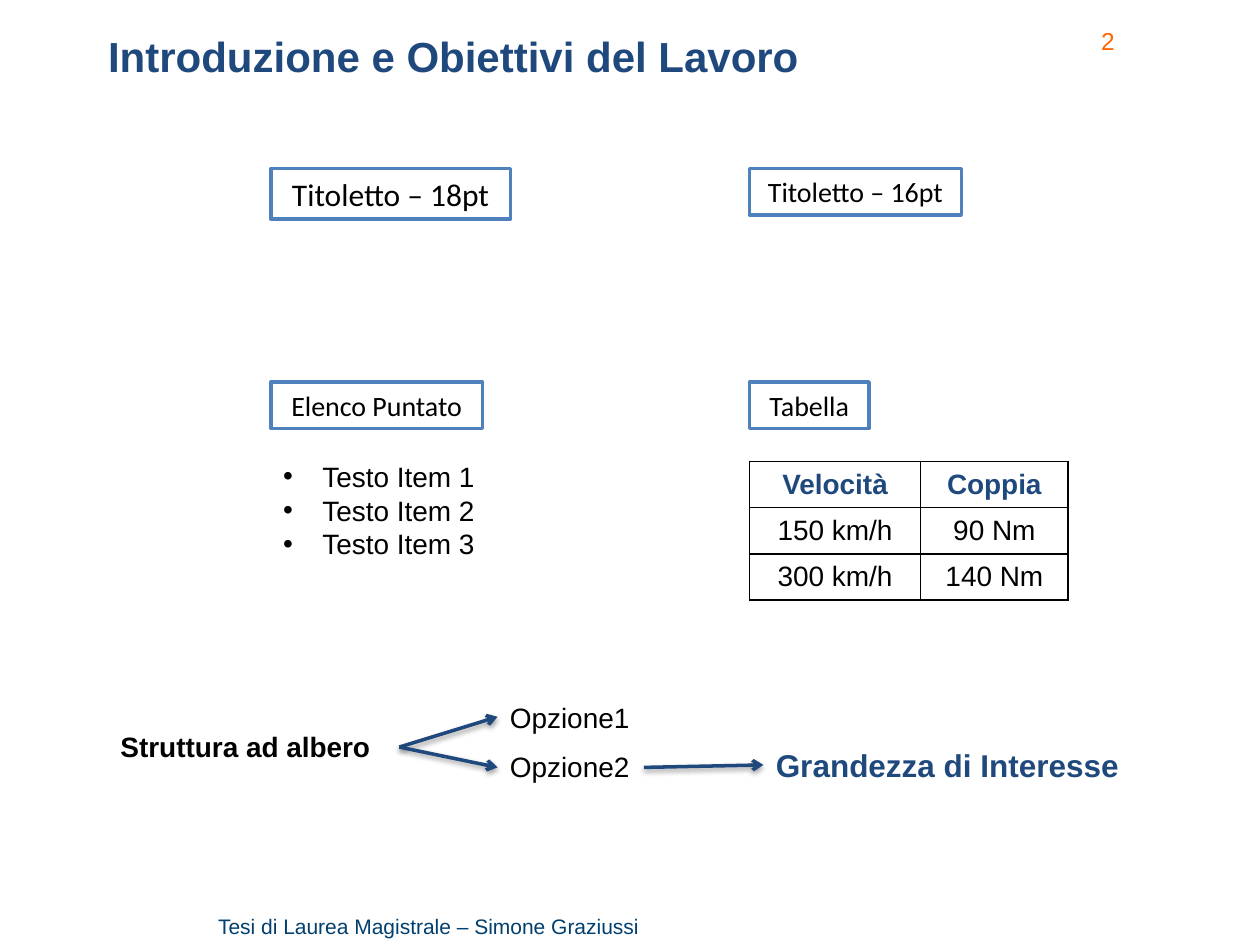
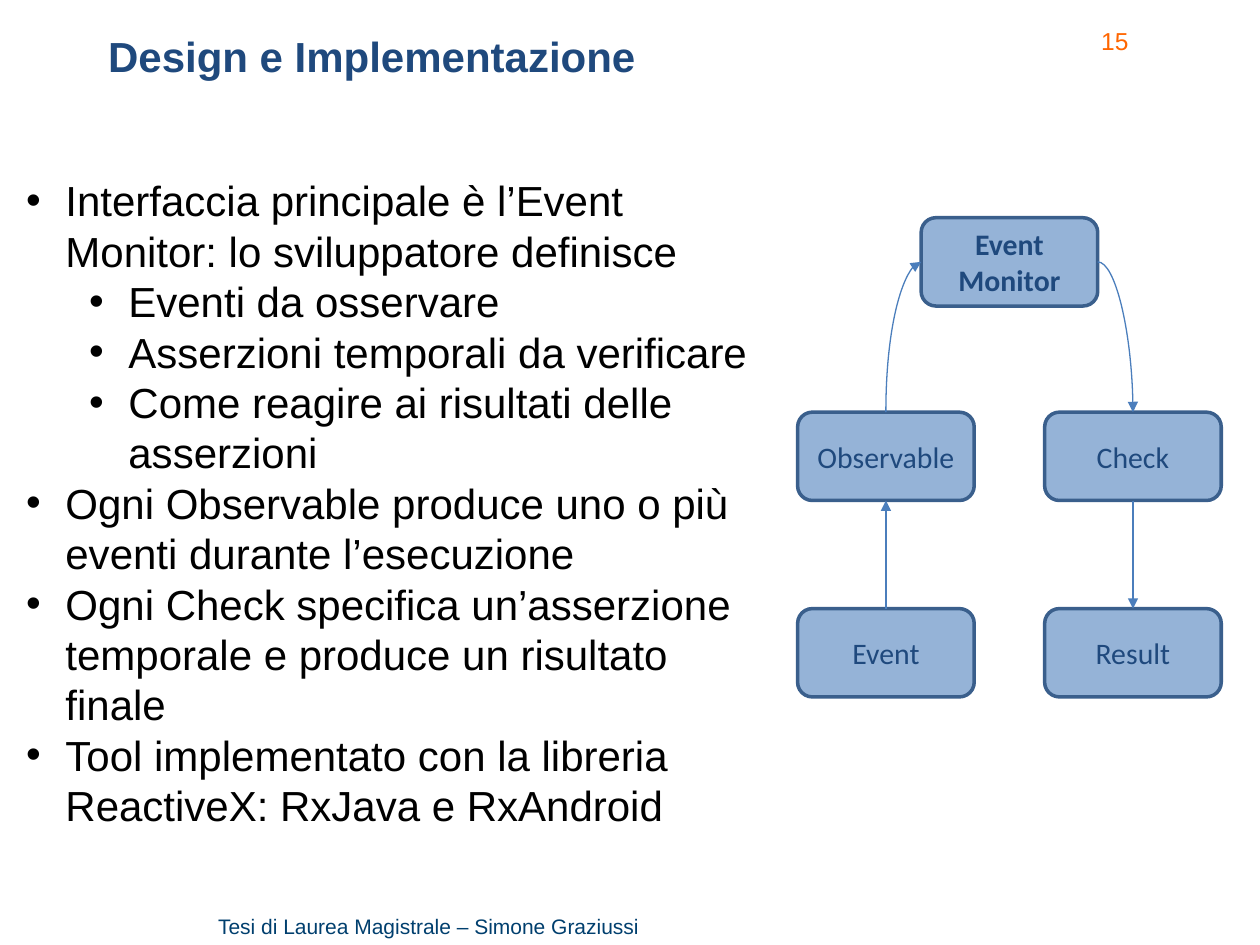
"""Build two thesis slides: a style sampler and the design of an event monitor."""
from lxml import etree
from pptx import Presentation
from pptx.dml.color import RGBColor
from pptx.enum.shapes import MSO_CONNECTOR, MSO_SHAPE
from pptx.enum.text import MSO_ANCHOR, MSO_AUTO_SIZE, PP_ALIGN
from pptx.oxml import parse_xml
from pptx.oxml.ns import nsdecls, qn
from pptx.util import Cm, Pt

STRAIGHT, CURVE = MSO_CONNECTOR.STRAIGHT, MSO_CONNECTOR.CURVE
RECT, ROUNDED = MSO_SHAPE.RECTANGLE, MSO_SHAPE.ROUNDED_RECTANGLE
LEFT, CENTER, RIGHT = PP_ALIGN.LEFT, PP_ALIGN.CENTER, PP_ALIGN.RIGHT
TOP, MIDDLE = MSO_ANCHOR.TOP, MSO_ANCHOR.MIDDLE
FIT = MSO_AUTO_SIZE.SHAPE_TO_FIT_TEXT

BLACK = RGBColor(0x00, 0x00, 0x00)
WHITE = RGBColor(0xFF, 0xFF, 0xFF)
NAVY = RGBColor(0x1F, 0x49, 0x7D)
FOOTER_BLUE = RGBColor(0x00, 0x3F, 0x6E)
ORANGE = RGBColor(0xFF, 0x66, 0x00)
CAPTION_LINE = RGBColor(0x4F, 0x81, 0xBD)
NODE_FILL = RGBColor(0x95, 0xB3, 0xD7)
NODE_LINE = RGBColor(0x3A, 0x5F, 0x8C)
FLOW_LINE = RGBColor(0x4B, 0x7E, 0xBC)

FOOTER = "Tesi di Laurea Magistrale – Simone Graziussi"

LEFT_COLUMN, RIGHT_COLUMN = 5.46, 15.11
CAPTIONS = [
    ("Titoletto – 18pt", 18, (LEFT_COLUMN, 3.4, 4.83, 1.02)),
    ("Titoletto – 16pt", 16, (RIGHT_COLUMN, 3.4, 4.27, 0.94)),
    ("Elenco Puntato", 16, (LEFT_COLUMN, 7.7, 4.27, 0.94)),
    ("Tabella", 16, (RIGHT_COLUMN, 7.7, 2.41, 0.94)),
]
ITEMS = [(0, f"Testo Item {number}") for number in (1, 2, 3)]
MEASURES = [("Velocità", "Coppia"), ("150 km/h", "90 Nm"), ("300 km/h", "140 Nm")]
MEASURE_WIDTHS, MEASURE_HEIGHT = (3.45, 2.97), 0.93
TREE = [
    ("Struttura ad albero", (2.18, 14.58, 5.84, 0.94), dict(bold=True)),
    ("Opzione1", (10.03, 14.0, 2.95, 0.94), dict(wrap=False)),
    ("Opzione2", (10.03, 14.99, 2.95, 0.94), dict(wrap=False)),
    ("Grandezza di Interesse", (15.39, 14.91, 7.49, 1.02),
     dict(size=18, color=NAVY, bold=True, wrap=False)),
]
BRANCHES = [
    ((8.05, 15.06), (10.03, 14.45)),
    ((8.05, 15.06), (10.03, 15.47)),
    ((12.98, 15.47), (15.39, 15.42)),
]

DESIGN_POINTS = [
    (0, "Interfaccia principale è l’Event Monitor: lo sviluppatore definisce"),
    (1, "Eventi da osservare"),
    (1, "Asserzioni temporali da verificare"),
    (1, "Come reagire ai risultati delle asserzioni"),
    (0, "Ogni Observable produce uno o più eventi durante l’esecuzione"),
    (0, "Ogni Check specifica un’asserzione temporale e produce un risultato finale"),
    (0, "Tool implementato con la libreria ReactiveX: RxJava e RxAndroid"),
]
NODE_WIDTH, NODE_HEIGHT = 3.56, 1.78
SOURCE_X, CHECK_X = 16.08, 21.06
MONITOR_Y, MIDDLE_Y, BOTTOM_Y = 4.39, 8.31, 12.27
NODES = {
    "Event Monitor": ((SOURCE_X + CHECK_X) / 2, MONITOR_Y),
    "Check": (CHECK_X, MIDDLE_Y),
    "Result": (CHECK_X, BOTTOM_Y),
    "Observable": (SOURCE_X, MIDDLE_Y),
    "Event": (SOURCE_X, BOTTOM_Y),
}
SITE_TOP, SITE_LEFT, SITE_BOTTOM, SITE_RIGHT = range(4)
FLOWS = [
    (CURVE, "Event Monitor", SITE_LEFT, "Observable", SITE_TOP, "headEnd"),
    (CURVE, "Event Monitor", SITE_RIGHT, "Check", SITE_TOP, "tailEnd"),
    (STRAIGHT, "Event", SITE_TOP, "Observable", SITE_BOTTOM, "tailEnd"),
    (STRAIGHT, "Check", SITE_BOTTOM, "Result", SITE_TOP, "tailEnd"),
]

HANG, LEVEL_STEP = 0.79, 1.27
SHADOW = (
    f'<a:effectLst {nsdecls("a")}><a:outerShdw blurRad="40000" dist="20000" '
    'dir="5400000" rotWithShape="0"><a:srgbClr val="000000">'
    '<a:alpha val="38000"/></a:srgbClr></a:outerShdw></a:effectLst>'
)
NO_EFFECT = f'<a:effectLst {nsdecls("a")}/>'
BORDER = (
    '<a:{side} {ns} w="12700"><a:solidFill><a:srgbClr val="000000"/>'
    "</a:solidFill></a:{side}>"
)


def lengths(values):
    return [Cm(value) for value in values]


def write(frame, text, size=16, font="Arial", color=BLACK, bold=False,
          align=LEFT, anchor=TOP, wrap=True, grow=True):
    """Write a string, or a list of (level, text) bullets, into a text frame."""
    bulleted = not isinstance(text, str)
    frame.word_wrap = wrap
    frame.vertical_anchor = anchor
    if grow:
        frame.auto_size = FIT
    for index, (level, line) in enumerate(text if bulleted else [(0, text)]):
        paragraph = frame.add_paragraph() if index else frame.paragraphs[0]
        paragraph.alignment = align
        run = paragraph.add_run()
        run.text = line
        run.font.size, run.font.name, run.font.bold = Pt(size), font, bold
        run.font.color.rgb = color
        if bulleted:
            paragraph.level = level
            properties = paragraph._p.get_or_add_pPr()
            properties.set("marL", str(Cm(HANG + level * LEVEL_STEP)))
            properties.set("indent", str(-Cm(HANG)))
            etree.SubElement(properties, qn("a:buFont"), typeface="Arial")
            etree.SubElement(properties, qn("a:buChar"), char="•")


def add_text(slide, text, box, **style):
    write(slide.shapes.add_textbox(*lengths(box)).text_frame, text, **style)


def add_panel(slide, preset, text, box, fill, line, **style):
    panel = slide.shapes.add_shape(preset, *lengths(box))
    panel.shadow.inherit = False
    panel.fill.solid()
    panel.fill.fore_color.rgb = fill
    panel.line.color.rgb = line
    panel.line.width = Pt(2)
    write(panel.text_frame, text, font="Calibri", align=CENTER, **style)
    return panel


def add_arrow(slide, kind, start, end, color, width, head, end_mark="tailEnd", effect=NO_EFFECT):
    arrow = slide.shapes.add_connector(kind, *lengths(start + end))
    arrow.line.color.rgb = color
    arrow.line.width = Pt(width)
    etree.SubElement(arrow.line._get_or_add_ln(), qn(f"a:{end_mark}"), type=head)
    properties = arrow._element.spPr
    properties.append(parse_xml(effect))
    if kind == CURVE:
        properties.find(qn("a:prstGeom")).set("prst", "curvedConnector2")
    return arrow


def add_measures(slide):
    table = slide.shapes.add_table(
        len(MEASURES), len(MEASURE_WIDTHS),
        *lengths((RIGHT_COLUMN, 9.3, sum(MEASURE_WIDTHS), MEASURE_HEIGHT * len(MEASURES))),
    ).table
    for column, width in zip(table.columns, MEASURE_WIDTHS):
        column.width = Cm(width)
    for row, values in enumerate(MEASURES):
        table.rows[row].height = Cm(MEASURE_HEIGHT)
        for column, value in enumerate(values):
            cell = table.cell(row, column)
            cell.fill.background()
            cell.vertical_anchor = MIDDLE
            header = row == 0
            write(cell.text_frame, value, color=NAVY if header else BLACK,
                  bold=header, align=CENTER, grow=False)
            properties = cell._tc.get_or_add_tcPr()
            for position, side in enumerate(("lnL", "lnR", "lnT", "lnB")):
                border = parse_xml(BORDER.format(side=side, ns=nsdecls("a")))
                properties.insert(position, border)


def add_page(deck, number, title):
    slide = deck.slides.add_slide(deck.slide_layouts[6])
    add_text(slide, number, (21.95, 0.4, 1.4, 0.84), size=14, color=ORANGE)
    add_text(slide, FOOTER, (0.64, 18.29, 12.5, 0.76), size=12, color=FOOTER_BLUE, align=RIGHT)
    add_text(slide, title, (1.93, 0.5, 19.61, 1.42), size=24, color=NAVY, bold=True, grow=False)
    return slide


def build_sampler(deck):
    slide = add_page(deck, "2", "Introduzione e Obiettivi del Lavoro")
    for text, box, style in TREE:
        add_text(slide, text, box, **style)
    add_text(slide, ITEMS, (LEFT_COLUMN, 9.14, 5.05, 2.31))
    for start, end in BRANCHES:
        add_arrow(slide, STRAIGHT, start, end, NAVY, 2, "arrow", effect=SHADOW)
    add_measures(slide)
    for text, size, box in CAPTIONS:
        add_panel(slide, RECT, text, box, WHITE, CAPTION_LINE, size=size)


def build_design(deck):
    slide = add_page(deck, "15", "Design e Implementazione")
    add_text(slide, DESIGN_POINTS, (0.28, 3.4, 15.39, 13.59), size=24)
    nodes = {
        name: add_panel(slide, ROUNDED, name, (*corner, NODE_WIDTH, NODE_HEIGHT),
                        NODE_FILL, NODE_LINE, size=17, color=NAVY,
                        bold=name == "Event Monitor", anchor=MIDDLE, grow=False)
        for name, corner in NODES.items()
    }
    for kind, begin, begin_site, end, end_site, end_mark in FLOWS:
        flow = add_arrow(slide, kind, NODES[begin], NODES[end], FLOW_LINE, 0.75,
                         "triangle", end_mark)
        flow.begin_connect(nodes[begin], begin_site)
        flow.end_connect(nodes[end], end_site)


def main():
    deck = Presentation()
    deck.slide_width, deck.slide_height = Cm(25.4), Cm(19.05)
    build_sampler(deck)
    build_design(deck)
    deck.save("out.pptx")


if __name__ == "__main__":
    main()
